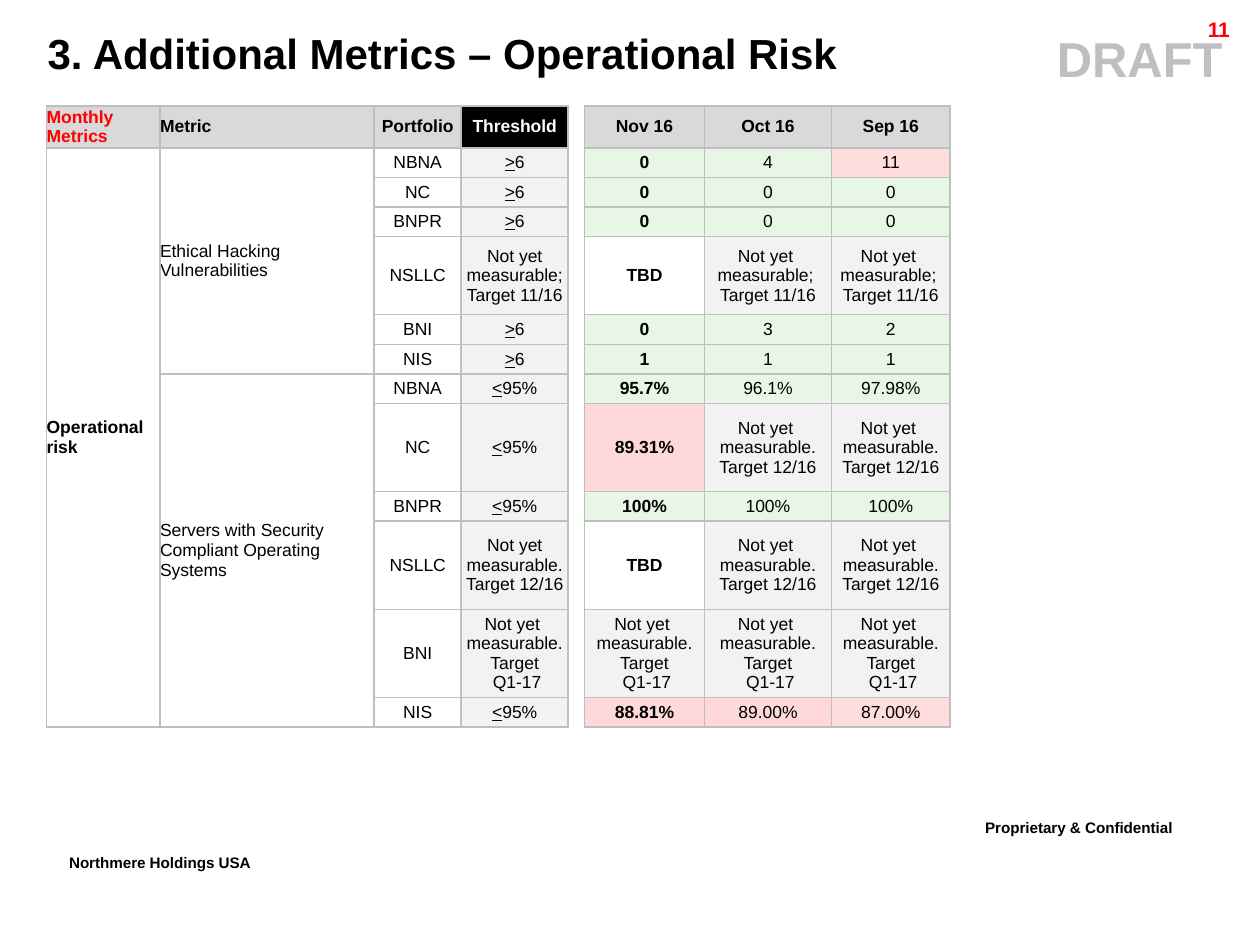
from dataclasses import dataclass

from lxml import etree
from pptx import Presentation
from pptx.dml.color import RGBColor
from pptx.enum import text
from pptx.oxml.ns import qn
from pptx.util import Inches, Pt


@dataclass(frozen=True)
class Theme:
    font: str = "Arial"
    ink: str = "000000"
    white: str = "FFFFFF"
    red: str = "FF0000"
    rule: str = "BFBFBF"
    head: str = "D9D9D9"
    grey: str = "F2F2F2"
    green: str = "E8F6E6"
    rose: str = "FFD9D9"
    pink: str = "FFDDDD"
    title: int = 24
    stamp: int = 28
    foot: int = 15
    page: int = 12
    body: int = 10


@dataclass(frozen=True)
class Label:
    words: str
    box: tuple[float, float, float, float]
    size: int
    color: str
    align: str = "left"
    wrap: bool = True
    raised: bool = False
    indent: float = 0
    spacing: float = 1


@dataclass(frozen=True)
class Row:
    code: str
    limit: str
    values: tuple[str, str, str]
    tones: str
    high: float


T = Theme()
ALIGN = {"left": text.PP_ALIGN.LEFT, "center": text.PP_ALIGN.CENTER,
         "right": text.PP_ALIGN.RIGHT}
TONES = {"g": T.green, "r": T.rose, "p": T.pink, "n": T.grey, "w": None}

# Page furniture
LABELS = [
    Label("Proprietary & Confidential", (7.72, 6.42, 2.18, 0.35), T.foot, T.ink, raised=True),
    Label("Northmere Holdings USA", (0.45, 6.7, 1.91, 0.35), T.foot, T.ink,
          wrap=False, raised=True),
    Label("DRAFT", (1.15, 0.18, 8.79, 0.57), T.stamp, T.rule, "center", indent=7),
    Label("11", (8.91, 0.11, 0.95, 0.24), T.page, T.red, "right", spacing=0.86),
    Label("3. Additional Metrics – Operational Risk", (0.28, 0.17, 9.35, 0.5),
          T.title, T.ink),
]

# Table grid: the single-line rows share what the taller ones leave
LEFT, TOP, HIGH = 0.37, 0.84, 4.93
COLS = [0.9, 1.7, 0.69, 0.85, 0.13, 0.95, 1.01, 0.94]
GAP = 4
HEAD, MID, TALL = 0.33, 0.62, 0.7
LOW = (HIGH - HEAD - MID - 3 * TALL) / 8

# Table content
HEADS = ["Monthly Metrics", "Metric", "Portfolio", "Threshold", "",
         "Nov 16", "Oct 16", "Sep 16"]
NOV = "Not yet \nmeasurable; \nTarget 11/16"
DEC = "Not yet \nmeasurable. Target 12/16"
Q1 = "Not yet \nmeasurable. Target\n Q1-17"
GROUPS = {
    "Ethical Hacking Vulnerabilities": [
        Row("NBNA", ">6", ("0", "4", "11"), "ggp", LOW),
        Row("NC", ">6", ("0", "0", "0"), "ggg", LOW),
        Row("BNPR", ">6", ("0", "0", "0"), "ggg", LOW),
        Row("NSLLC", "Not yet measurable; Target 11/16", ("TBD", NOV, NOV), "wnn", MID),
        Row("BNI", ">6", ("0", "3", "2"), "ggg", LOW),
        Row("NIS", ">6", ("1", "1", "1"), "ggg", LOW),
    ],
    "Servers with Security Compliant Operating Systems": [
        Row("NBNA", "<95%", ("95.7%", "96.1%", "97.98%"), "ggg", LOW),
        Row("NC", "<95%", ("89.31%", DEC, DEC), "rnn", TALL),
        Row("BNPR", "<95%", ("100%", "100%", "100%"), "ggg", LOW),
        Row("NSLLC", "Not yet measurable. Target 12/16", ("TBD", DEC, DEC), "wnn", TALL),
        Row("BNI", Q1, (Q1, Q1, Q1), "nnn", TALL),
        Row("NIS", "<95%", ("88.81%", "89.00%", "87.00%"), "rrp", LOW),
    ],
}


def style(run, size: int, color: str, bold: bool) -> None:
    font = run.font
    font.name, font.size, font.bold = T.font, Pt(size), bold
    font.color.rgb = RGBColor.from_string(color)


def draw_label(slide, item: Label) -> None:
    frame = slide.shapes.add_textbox(*map(Inches, item.box)).text_frame
    frame.word_wrap = item.wrap
    frame.text = item.words
    para = frame.paragraphs[0]
    para.alignment = ALIGN[item.align]
    para.line_spacing = item.spacing
    if item.indent:
        para._p.get_or_add_pPr().set("marL", str(Inches(item.indent)))
    run = para.runs[0]
    style(run, item.size, item.color, True)
    if item.raised:
        run.font._element.set("baseline", "30000")


def prepare(cell, gap: bool) -> None:
    """Clear margins and fill, draw borders, keep empty cells small."""
    cell.margin_left = cell.margin_right = cell.margin_top = cell.margin_bottom = 0
    cell.vertical_anchor = text.MSO_ANCHOR.MIDDLE
    props = cell._tc.get_or_add_tcPr()
    for side in "LRTB":
        line = etree.SubElement(props, qn(f"a:ln{side}"), w=str(Pt(1)))
        if gap and side in "TB":
            etree.SubElement(line, qn("a:noFill"))
        else:
            fill = etree.SubElement(line, qn("a:solidFill"))
            etree.SubElement(fill, qn("a:srgbClr"), val=T.rule)
    cell.fill.background()
    end = cell.text_frame.paragraphs[0]._p.get_or_add_endParaRPr()
    end.set("sz", str(T.body * 100))


def write(cell, words: str, fill: str | None = None, color: str = T.ink,
          bold: bool = False, align: str = "center") -> None:
    frame = cell.text_frame
    sign = words[:1] in ("<", ">")
    frame.text = words[0] if sign else words
    if sign:
        frame.paragraphs[0].add_run().text = words[1:]
    for para in frame.paragraphs:
        para.alignment = ALIGN[align]
        for run in para.runs:
            style(run, T.body, color, bold)
    if sign:
        frame.paragraphs[0].runs[0].font.underline = True
    if fill:
        cell.fill.solid()
        cell.fill.fore_color.rgb = RGBColor.from_string(fill)


def draw_table(slide) -> None:
    rows = [row for group in GROUPS.values() for row in group]
    grid = slide.shapes.add_table(len(rows) + 1, len(COLS), Inches(LEFT), Inches(TOP),
                                  Inches(sum(COLS)), Inches(HIGH)).table
    grid.first_row = grid.horz_banding = False
    for col, wide in zip(grid.columns, COLS):
        col.width = Inches(wide)
    for line, high in zip(grid.rows, [HEAD] + [row.high for row in rows]):
        line.height = Inches(high)
        for c, cell in enumerate(line.cells):
            prepare(cell, c == GAP)

    # Header
    for c, words in enumerate(HEADS):
        if words:
            dark = words == "Threshold"
            color = T.red if c == 0 else T.white if dark else T.ink
            write(grid.cell(0, c), words, T.ink if dark else T.head, color, True,
                  "left" if c < 2 else "center")

    # Merged row titles
    grid.cell(1, 0).merge(grid.cell(len(rows), 0))
    write(grid.cell(1, 0), "Operational risk", bold=True, align="left")
    top = 1
    for name, group in GROUPS.items():
        grid.cell(top, 1).merge(grid.cell(top + len(group) - 1, 1))
        write(grid.cell(top, 1), name, align="left")
        top += len(group)

    # Portfolio rows; the latest month is bold once it is measured
    for r, row in enumerate(rows, 1):
        write(grid.cell(r, 2), row.code)
        write(grid.cell(r, 3), row.limit, T.grey)
        for c, (value, tone) in enumerate(zip(row.values, row.tones), GAP + 1):
            write(grid.cell(r, c), value, TONES[tone],
                  bold=c == GAP + 1 and value != Q1)


def main() -> None:
    deck = Presentation()
    deck.slide_width, deck.slide_height = Inches(10), Inches(7.5)
    slide = deck.slides.add_slide(deck.slide_layouts[6])
    for item in LABELS:
        draw_label(slide, item)
    draw_table(slide)
    deck.save("out.pptx")


if __name__ == "__main__":
    main()
